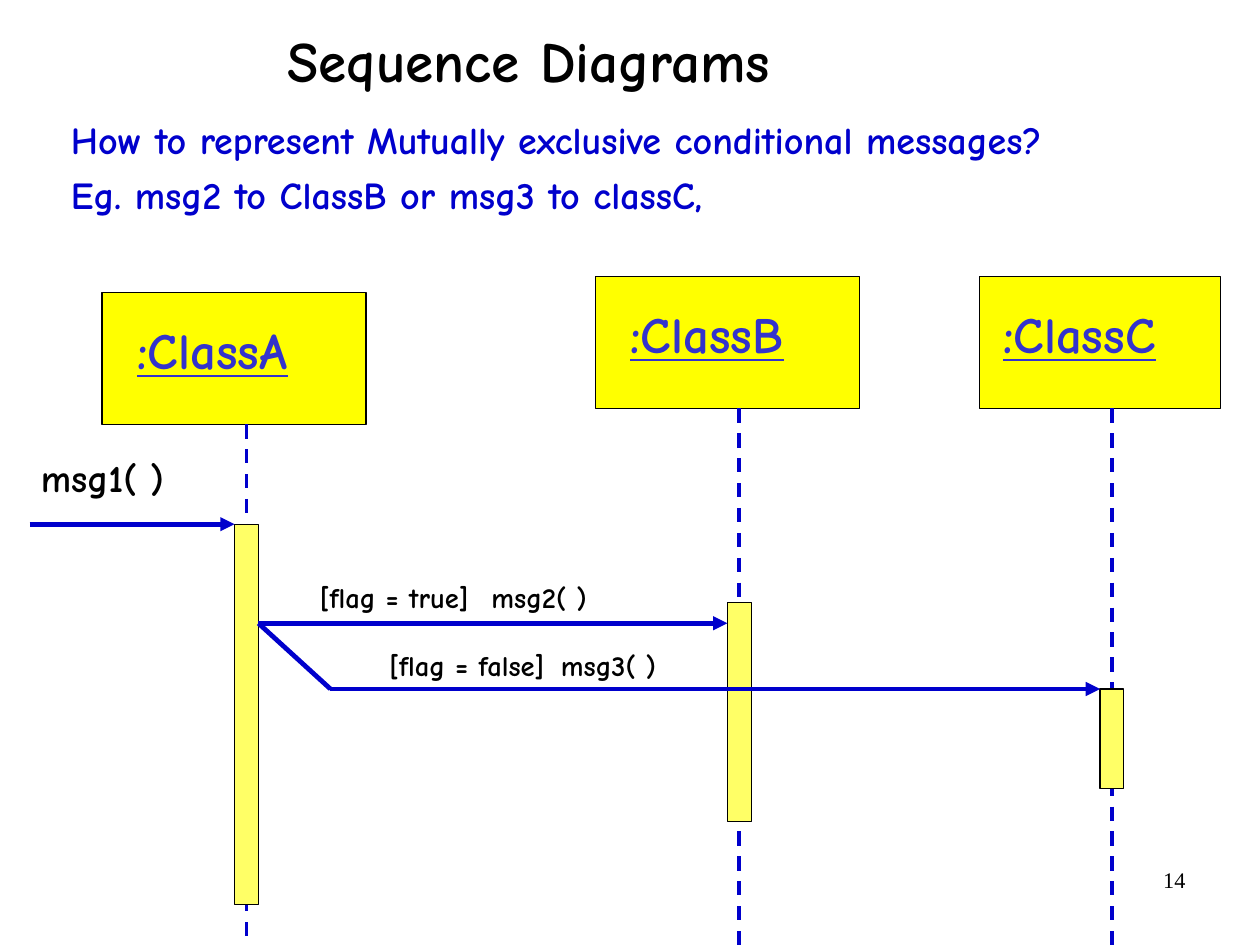
from dataclasses import dataclass
from pptx import Presentation, util as u
from pptx.dml.color import RGBColor
from pptx.enum import dml, shapes, text
from pptx.oxml import ns, xmlchemy as xml


@dataclass(frozen=True)
class Theme:
    """Colours, fonts and type sizes of the slide."""
    ink: str = "000000"
    blue: str = "0000CC"
    link: str = "3333CC"
    head: str = "FFFF00"
    bar: str = "FFFF66"
    face: str = "Comic Neue"
    serif: str = "Times New Roman"
    title: int = 36
    name: int = 32
    body: int = 24
    label: int = 18
    page: int = 14


T = Theme()
BAR = 15


def color(code):
    """Turn a hex code into a colour."""
    return RGBColor.from_string(code)


def place(item, box):
    """Move an item to a box of left, top, width and height."""
    item.left, item.top, item.width, item.height = map(u.Pt, box)


def node(owner, tag, **attrs):
    """Append one XML element with its attributes."""
    child = xml.OxmlElement(tag)
    for key, val in attrs.items():
        child.set(key, str(val))
    owner.append(child)
    return child


def write(item, words, size, tone, inset=(7.2, 3.6), lead=0.8, tab=None,
          face=T.face, bold=True, line=False, align=text.PP_ALIGN.LEFT):
    """Write one formatted paragraph into an item."""
    frame = item.text_frame
    frame.word_wrap = True
    frame.auto_size = text.MSO_AUTO_SIZE.NONE
    frame.vertical_anchor = text.MSO_ANCHOR.TOP
    frame.margin_left = frame.margin_right = u.Pt(inset[0])
    frame.margin_top = frame.margin_bottom = u.Pt(inset[1])
    para = frame.paragraphs[0]
    props = para._p.get_or_add_pPr()
    props.set("marL", "0")
    props.set("indent", "0")
    node(props, "a:buNone")
    if tab:
        stops = node(props, "a:tabLst")
        node(stops, "a:tab", pos=u.Pt(tab), algn="l")
    para.alignment = align
    para.line_spacing = lead
    para.space_before = u.Pt(0)
    run = para.add_run()
    run.text = words
    font = run.font
    font.name, font.size, font.bold = face, u.Pt(size), bold
    font.underline = line
    font.color.rgb = color(tone)


def note(slide, box, words, size, tone=T.ink, **style):
    """Add a text box."""
    item = slide.shapes.add_textbox(*map(u.Pt, box))
    write(item, words, size, tone, **style)


def block(slide, box, fill):
    """Add a filled box with a thin black edge."""
    item = slide.shapes.add_shape(shapes.MSO_SHAPE.RECTANGLE, *map(u.Pt, box))
    item.shadow.inherit = False
    item.fill.solid()
    item.fill.fore_color.rgb = color(fill)
    item.line.color.rgb = color(T.ink)
    item.line.width = u.Pt(0.75)
    return item


def link(slide, start, end, width=3, dash=False, arrow=False):
    """Add a straight blue line, dashed or with an arrowhead."""
    item = slide.shapes.add_connector(
        shapes.MSO_CONNECTOR.STRAIGHT, *map(u.Pt, (*start, *end)))
    item.line.color.rgb = color(T.blue)
    item.line.width = u.Pt(width)
    if dash:
        item.line.dash_style = dml.MSO_LINE.DASH
    if arrow:
        line = item._element.spPr.find(ns.qn("a:ln"))
        node(line, "a:tailEnd", type="triangle")
    node(item._element.spPr, "a:effectLst")


def header(slide, box):
    """Fill the title and the question below it."""
    left, top, width, height = box
    title, body = slide.shapes.title, slide.placeholders[1]
    place(title, (left + 136.5, top, 509, 43.2))
    write(title, "Sequence Diagrams", T.title, T.ink, inset=(7.9, 4.3))
    place(body, (left, top + 43.2, width, height - 43.2))
    write(body, "How to represent Mutually exclusive conditional messages? "
          "Eg. msg2 to ClassB or msg3 to classC,", T.body, T.blue,
          inset=(7.9, 4.3), lead=1.2)


def actor(slide, box, name, inset, axis, foot, start, span):
    """Draw a class head, its lifeline and its active bar."""
    left, top, width, height = box
    head = block(slide, box, T.head)
    write(head, name, T.name, T.link, inset=(inset, 24.2), line=True)
    mid = left + axis
    link(slide, (mid, top + height), (mid, foot), width=2.25, dash=True)
    block(slide, (mid - BAR / 2, start, BAR, span), T.bar)


def diagram(slide, box):
    """Draw the three classes and the messages between them."""
    left, top, width, height = box
    foot = top + height
    call, send, other = top + 156.2, top + 218.6, top + 260
    actors = [
        (":ClassA", 45.6, 10, 166.3, 22.3, 91, call, 239.6),
        (":ClassB", 356.5, 0, 166.3, 22, 90.5, top + 205.4, 138),
        (":ClassC", 598.5, 0, 151.5, 14.7, 83.3, other, 62.6),
    ]
    mids = []
    for name, shift, drop, wide, inset, axis, start, span in actors:
        actor(slide, (left + shift, top + drop, wide, 83.3),
              name, inset, axis, foot, start, span)
        mids.append(left + shift + axis)
    half = BAR / 2
    fork, bend = (mids[0] + half, send), (left + 189.5, other)
    link(slide, (left, call), (mids[0] - half, call), arrow=True)
    link(slide, fork, (mids[1] - half, send), arrow=True)
    link(slide, fork, bend)
    link(slide, bend, (mids[2] - half, other), arrow=True)
    note(slide, (left, call - 41.8, 121, 30), "msg1( )", T.body)
    note(slide, (left + 175.8, send - 26.8, 233, 24.5),
         "[flag = true]\tmsg2( )", T.label, tab=118)
    note(slide, (left + 219.6, other - 25.2, 227.5, 24.5),
         "[flag = false]\tmsg3( )", T.label, tab=113)


def footer(slide, box):
    """Write the page number."""
    note(slide, box, "14", T.page, face=T.serif, bold=False, lead=1,
         align=text.PP_ALIGN.RIGHT)


def main():
    """Build the slide and save it."""
    deck = Presentation()
    deck.slide_width, deck.slide_height = u.Pt(793.75), u.Pt(595.25)
    slide = deck.slides.add_slide(deck.slide_layouts[1])
    header(slide, (36.8, 20.2, 641.5, 118))
    diagram(slide, (18.7, 174, 750, 421))
    footer(slide, (568.9, 542.2, 185, 41))
    deck.save("out.pptx")


if __name__ == "__main__":
    main()
